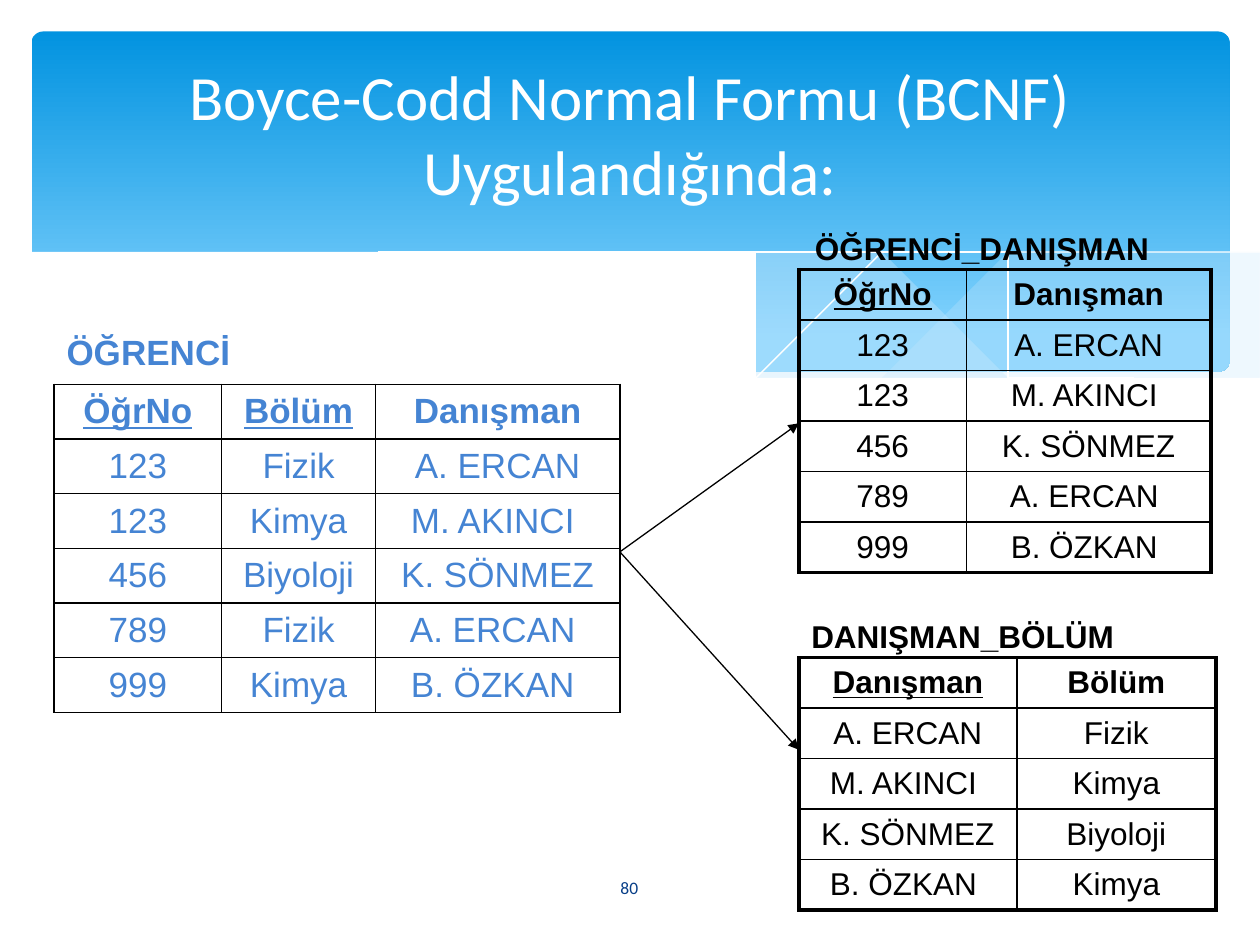
from lxml.etree import SubElement
from pptx import Presentation
from pptx.dml.color import RGBColor
from pptx.enum.shapes import MSO_CONNECTOR, MSO_SHAPE
from pptx.enum.text import MSO_ANCHOR, PP_ALIGN
from pptx.oxml import parse_xml
from pptx.oxml.ns import nsdecls, qn
from pptx.util import Inches, Pt

BLACK, WHITE, BLUE, PALE = "000000", "FFFFFF", "4584D3", "C6E7FC"

# Each wave: smooth edges joined by straight lines, then its format.
WAVES = [
    ([[(9.76, 2), (9.35, 2.07), (8.91, 2.16), (8.32, 2.3), (7.53, 2.48), (6.61, 2.65)],
      [(6.61, 2.65), (7.19, 2.72), (7.69, 2.77), (8.14, 2.78), (8.54, 2.76),
       (8.97, 2.7), (9.35, 2.62), (9.76, 2.47)]],
     dict(fill=PALE, alpha=29)),
    ([[(8.93, 2.73), (8.37, 2.65), (7.75, 2.54), (7.06, 2.4), (6.29, 2.22), (5.69, 2.08),
       (5.14, 1.98), (4.65, 1.91), (4.2, 1.87), (3.8, 1.85), (3.28, 1.87), (2.86, 1.91)],
      [(2.86, 1.91), (3.42, 1.99), (4.04, 2.11), (4.49, 2.22), (5.3, 2.4), (6.01, 2.55),
       (6.65, 2.66), (7.22, 2.74), (7.73, 2.77), (8.18, 2.78), (8.57, 2.77), (8.93, 2.73)]],
     dict(fill=PALE, alpha=40)),
    ([[(3.09, 1.95), (3.44, 1.9), (3.87, 1.87), (4.33, 1.87), (4.89, 1.9), (5.56, 1.97),
       (6.36, 2.08), (7.27, 2.26), (8.31, 2.51), (9.07, 2.72)]],
     dict(line=WHITE)),
    ([[(6.13, 2.57), (6.72, 2.41), (7.48, 2.23), (8.36, 2.04), (9.1, 1.92), (9.75, 1.85)]],
     dict(line=WHITE)),
    ([[(9.77, 2.46), (9.4, 2.59), (8.99, 2.69), (8.5, 2.75), (8.09, 2.77), (7.44, 2.74),
       (6.68, 2.65), (5.79, 2.5), (5.03, 2.33), (4.47, 2.2), (3.91, 2.07), (3.4, 1.97),
       (2.71, 1.88), (2.11, 1.84), (1.61, 1.84), (1.06, 1.89), (0.67, 1.97), (0.23, 2.13)],
      [(0.23, 3.29), (9.77, 3.29)]],
     dict(fill=WHITE)),
]

STUDENT = [
    ("ÖğrNo", "Bölüm", "Danışman"),
    ("123", "Fizik", "A. ERCAN"),
    ("123", "Kimya", "M. AKINCI "),
    ("456", "Biyoloji", "K. SÖNMEZ"),
    ("789", "Fizik", "A. ERCAN "),
    ("999", "Kimya", "B. ÖZKAN "),
]
ADVISOR = [(num, name) for num, _, name in STUDENT]
BRANCH = [("Danışman", "Bölüm")] + [(name, unit) for _, unit, name in STUDENT[1:4]]
BRANCH.append(("B. ÖZKAN ", "Kimya"))

# rows, place, column widths, row height, key columns, format, outer border
TABLES = [
    (STUDENT, (0.43, 3.05), (1.33, 1.22, 1.94), 0.43, 2, dict(size=20, color=BLUE), 1),
    (ADVISOR, (6.34, 2.14), (1.33, 1.94), 0.4, 1, dict(size=18), 2.25),
    (BRANCH, (6.34, 5.22), (1.73, 1.58), 0.4, 1, dict(size=18), 2.25),
]
CENTER = dict(align=PP_ALIGN.CENTER, anchor=MSO_ANCHOR.MIDDLE)
LABELS = [
    ("80", (4.36, 6.84, 1.27, 0.4), dict(size=10, font="Calibri", color="073E87", **CENTER)),
    ("Boyce-Codd Normal Formu (BCNF) Uygulandığında:", (0.5, 0.37, 9, 1.37),
     dict(size=36, font="Calibri", color=WHITE, **CENTER)),
    ("ÖĞRENCİ", (0.43, 2.57, 2.44, 0.43), dict(size=20, color=BLUE, bold=True)),
    ("ÖĞRENCİ_DANIŞMAN", (6.37, 1.77, 3.23, 0.4), dict(bold=True)),
    ("DANIŞMAN_BÖLÜM", (6.34, 4.85, 3.15, 0.4), dict(bold=True)),
]
START, ENDS = (4.92, 4.38), [(6.34, 3.36), (6.34, 5.95)]


def rgb(code):
    return RGBColor.from_string(code)


def write(frame, text, size=18, font="Arial", color=BLACK, bold=False, under=False,
          align=PP_ALIGN.LEFT, anchor=MSO_ANCHOR.TOP):
    frame.word_wrap = True
    frame.vertical_anchor = anchor
    para = frame.paragraphs[0]
    para.alignment = align
    run = para.add_run()
    run.text = text
    face = run.font
    face.size, face.name, face.bold, face.underline = Pt(size), font, bold, under
    face.color.rgb = rgb(color)


def smooth(pts, steps=4):
    """Return points of a Catmull-Rom curve through pts."""
    if len(pts) < 3:
        return pts
    ext = [pts[0], *pts, pts[-1]]
    out = []
    for a, b, c, d in zip(ext, ext[1:], ext[2:], ext[3:]):
        for t in (i / steps for i in range(steps)):
            out.append(tuple(
                b[k] + t / 2 * (c[k] - a[k]
                + t * (2 * a[k] - 5 * b[k] + 4 * c[k] - d[k]
                + t * (3 * b[k] - a[k] - 3 * c[k] + d[k])))
                for k in (0, 1)))
    return out + [pts[-1]]


def wave(shapes, edges, fill=None, alpha=100, line=None):
    first, *rest = [p for edge in edges for p in smooth(edge)]
    form = shapes.build_freeform(*first, scale=Inches(1))
    form.add_line_segments(rest, close=fill is not None)
    shape = form.convert_to_shape()
    shape.shadow.inherit = False
    if fill:
        shape.fill.solid()
        shape.fill.fore_color.rgb = rgb(fill)
        tone = shape.fill._xPr.find(".//" + qn("a:srgbClr"))
        SubElement(tone, qn("a:alpha"), val=str(alpha * 1000))
    else:
        shape.fill.background()
    if line:
        shape.line.color.rgb = rgb(line)
        shape.line.width = Pt(0)
    else:
        shape.line.fill.background()


def banner(shapes):
    shape = shapes.add_shape(MSO_SHAPE.ROUNDED_RECTANGLE, *map(Inches, (0.25, 0.25, 9.51, 2.7)))
    shape.adjustments[0] = 0.034
    shape.shadow.inherit = False
    shape.line.fill.background()
    shape.fill.gradient()
    shape.fill.gradient_angle = 270
    for stop, (pos, code) in zip(shape.fill.gradient_stops, [(0, "0293E0"), (0.9, "83D3FE")]):
        stop.position = pos
        stop.color.rgb = rgb(code)


def border(cell, widths):
    """Set left, right, top and bottom border widths in points."""
    props = cell._tc.get_or_add_tcPr()
    for i, (side, width) in enumerate(zip("LRTB", widths)):
        props.insert(i, parse_xml(
            f'<a:ln{side} {nsdecls("a")} w="{Pt(width)}"><a:solidFill>'
            f'<a:srgbClr val="{BLACK}"/></a:solidFill></a:ln{side}>'))


def grid(shapes, rows, place, cols, high, keys, form, outer):
    size = sum(cols), high * len(rows)
    table = shapes.add_table(len(rows), len(cols), *map(Inches, place + size)).table
    table.first_row = table.horz_banding = False
    for col, width in zip(table.columns, cols):
        col.width = Inches(width)
    for r, row in enumerate(rows):
        table.rows[r].height = Inches(high)
        for c, text in enumerate(row):
            cell = table.cell(r, c)
            cell.fill.background()
            cell.vertical_anchor = MSO_ANCHOR.MIDDLE
            write(cell.text_frame, text, bold=r == 0, under=r == 0 and c < keys,
                  align=PP_ALIGN.CENTER, **form)
            rim = c == 0, c == len(cols) - 1, r == 0, r == len(rows) - 1
            border(cell, [outer if edge else 1 for edge in rim])


def arrow(shapes, start, end):
    line = shapes.add_connector(MSO_CONNECTOR.STRAIGHT, *map(Inches, start + end))
    line.line.color.rgb = rgb(BLACK)
    line.line.width = Pt(0.75)
    SubElement(line.line._get_or_add_ln(), qn("a:tailEnd"), type="triangle")
    SubElement(line._element.spPr, qn("a:effectLst"))


def main():
    deck = Presentation()
    deck.slide_width, deck.slide_height = Inches(10), Inches(7.5)
    shapes = deck.slides.add_slide(deck.slide_layouts[6]).shapes
    banner(shapes)
    for edges, form in WAVES:
        wave(shapes, edges, **form)
    for text, box, form in LABELS:
        write(shapes.add_textbox(*map(Inches, box)).text_frame, text, **form)
    for spec in TABLES:
        grid(shapes, *spec)
    for end in ENDS:
        arrow(shapes, START, end)
    deck.save("out.pptx")


if __name__ == "__main__":
    main()
